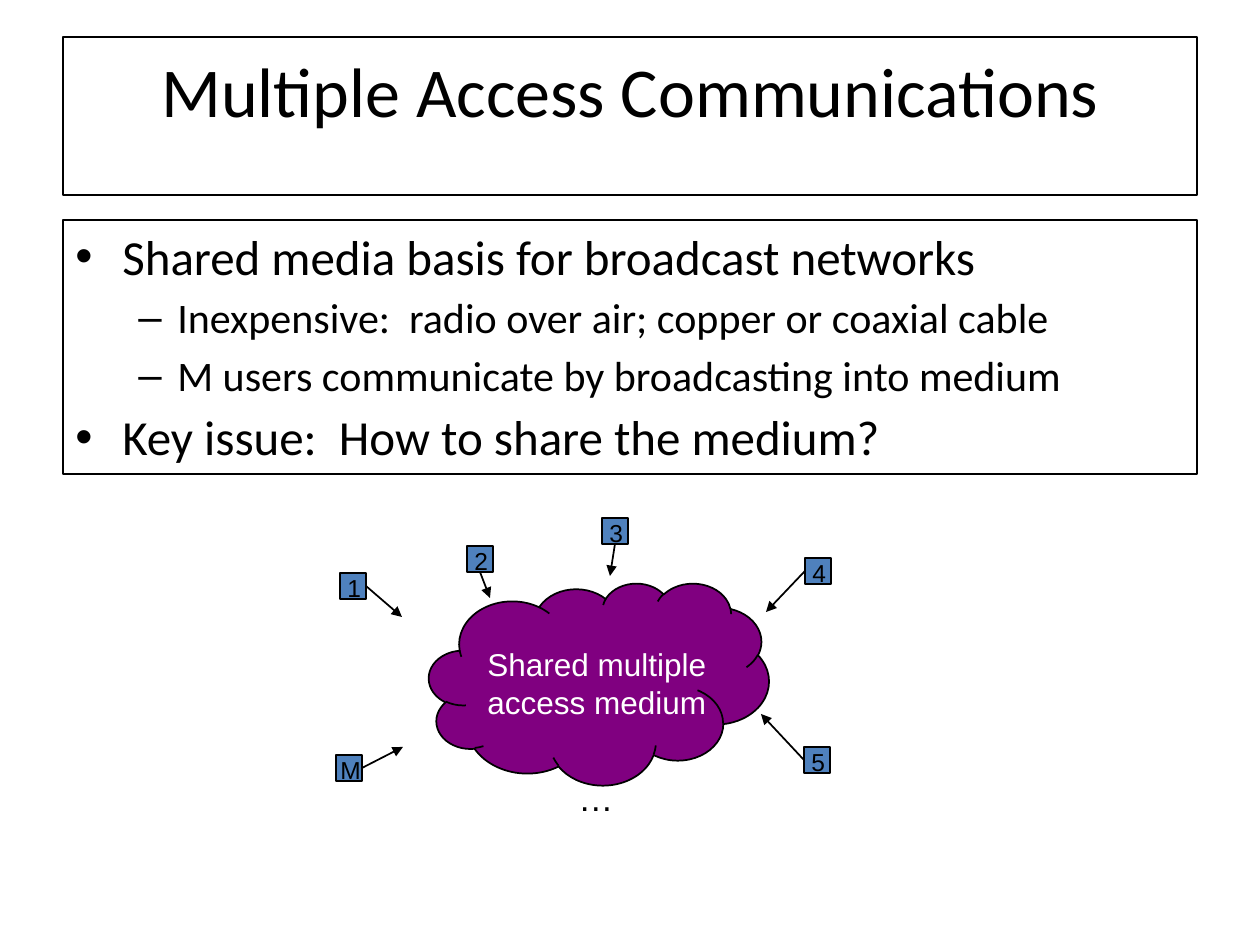
from lxml import etree
from pptx import Presentation
from pptx.dml.color import RGBColor
from pptx.enum.shapes import MSO_CONNECTOR, MSO_SHAPE
from pptx.enum.text import MSO_ANCHOR, PP_ALIGN
from pptx.oxml.ns import qn
from pptx.util import Emu, Pt

RECT, CLOUD = MSO_SHAPE.RECTANGLE, MSO_SHAPE.CLOUD
STRAIGHT = MSO_CONNECTOR.STRAIGHT
TOP, LEFT, CENTER = MSO_ANCHOR.TOP, PP_ALIGN.LEFT, PP_ALIGN.CENTER
BLACK = RGBColor(0x00, 0x00, 0x00)
WHITE = RGBColor(0xFF, 0xFF, 0xFF)
BLUE = RGBColor(0x4F, 0x81, 0xBD)
PURPLE = RGBColor(0x80, 0x00, 0x80)
PX = 914400 / 126


def add_box(kind, box, fill, width):
    sp = s.shapes.add_shape(kind, *[Emu(round(n * PX)) for n in box])
    sp.shadow.inherit = False
    sp.fill.solid()
    sp.fill.fore_color.rgb = fill
    sp.line.color.rgb = BLACK
    sp.line.width = Pt(width)
    return sp


def add_text(box, lines, size, color=BLACK, font="Arial"):
    sp = s.shapes.add_textbox(*[Emu(round(n * PX)) for n in box])
    tf = sp.text_frame
    tf.word_wrap = False
    tf.vertical_anchor = TOP
    for i, line in enumerate(lines):
        p = tf.paragraphs[0] if i == 0 else tf.add_paragraph()
        p.alignment = LEFT
        r = p.add_run()
        r.text = line
        r.font.name, r.font.size, r.font.color.rgb = font, Pt(size), color
    return sp


prs = Presentation()
prs.slide_width, prs.slide_height = Emu(round(1260 * PX)), Emu(round(945 * PX))
s = prs.slides.add_slide(prs.slide_layouts[6])

title = add_text((63, 37, 1134, 158), ["Multiple Access Communications"], 40, font="Calibri")
title.text_frame.margin_top = Emu(round(10 * PX))
title.text_frame.paragraphs[0].alignment = CENTER

bullets = [
    ("Shared media basis for broadcast networks", 0),
    ("Inexpensive:  radio over air; copper or coaxial cable", 1),
    ("M users communicate by broadcasting into medium", 1),
    ("Key issue:  How to share the medium?", 0),
]
levels = [(28, 47, 47, "•"), (24, 102, 39, "–")]
body = add_text((63, 220, 1134, 254), [text for text, level in bullets], 28, font="Calibri")
for p, (text, level) in zip(body.text_frame.paragraphs, bullets):
    size, margin, hang, mark = levels[level]
    p.level = level
    p.space_before = Pt(4)
    p.runs[0].font.size = Pt(size)
    pPr = p._p.get_or_add_pPr()
    pPr.set("marL", str(round(margin * PX)))
    pPr.set("indent", str(-round(hang * PX)))
    etree.SubElement(pPr, qn("a:buFont")).set("typeface", "Arial")
    etree.SubElement(pPr, qn("a:buChar")).set("char", mark)

for sp in (title, body):
    sp.text_frame.word_wrap = True
    sp.fill.solid()
    sp.fill.fore_color.rgb = WHITE
    sp.line.color.rgb = BLACK
    sp.line.width = Pt(0.75)

add_box(CLOUD, (429, 583, 340, 202), PURPLE, 1)
add_text((566, 770, 60, 54), ["…"], 20)

users = [
    ("1", 340, 573, 39, 3, 402, 617),
    ("2", 467, 546, 39, 2, 490, 598),
    ("3", 602, 518, 39, 2, 610, 576),
    ("4", 805, 558, 39, 1, 766, 612),
    ("5", 804, 747, 39, 1, 761, 714),
    ("M", 336, 755, 45, 3, 403, 747),
]
for name, x, y, label_width, side, end_x, end_y in users:
    station = add_box(RECT, (x, y, 26, 26), BLUE, 1)
    add_text((x + 14 - label_width // 2, y - 6, label_width, 42), [name], 14)
    end = Emu(round(end_x * PX)), Emu(round(end_y * PX))
    arrow = s.shapes.add_connector(STRAIGHT, station.left, station.top, *end)
    arrow.begin_connect(station, side)
    arrow.line.color.rgb = BLACK
    arrow.line.width = Pt(1)
    etree.SubElement(arrow.line._get_or_add_ln(), qn("a:tailEnd")).set("type", "triangle")
    etree.SubElement(arrow._element.spPr, qn("a:effectLst"))

add_text((475, 639, 246, 88), ["Shared multiple", "access medium"], 18, WHITE)

prs.save("out.pptx")
